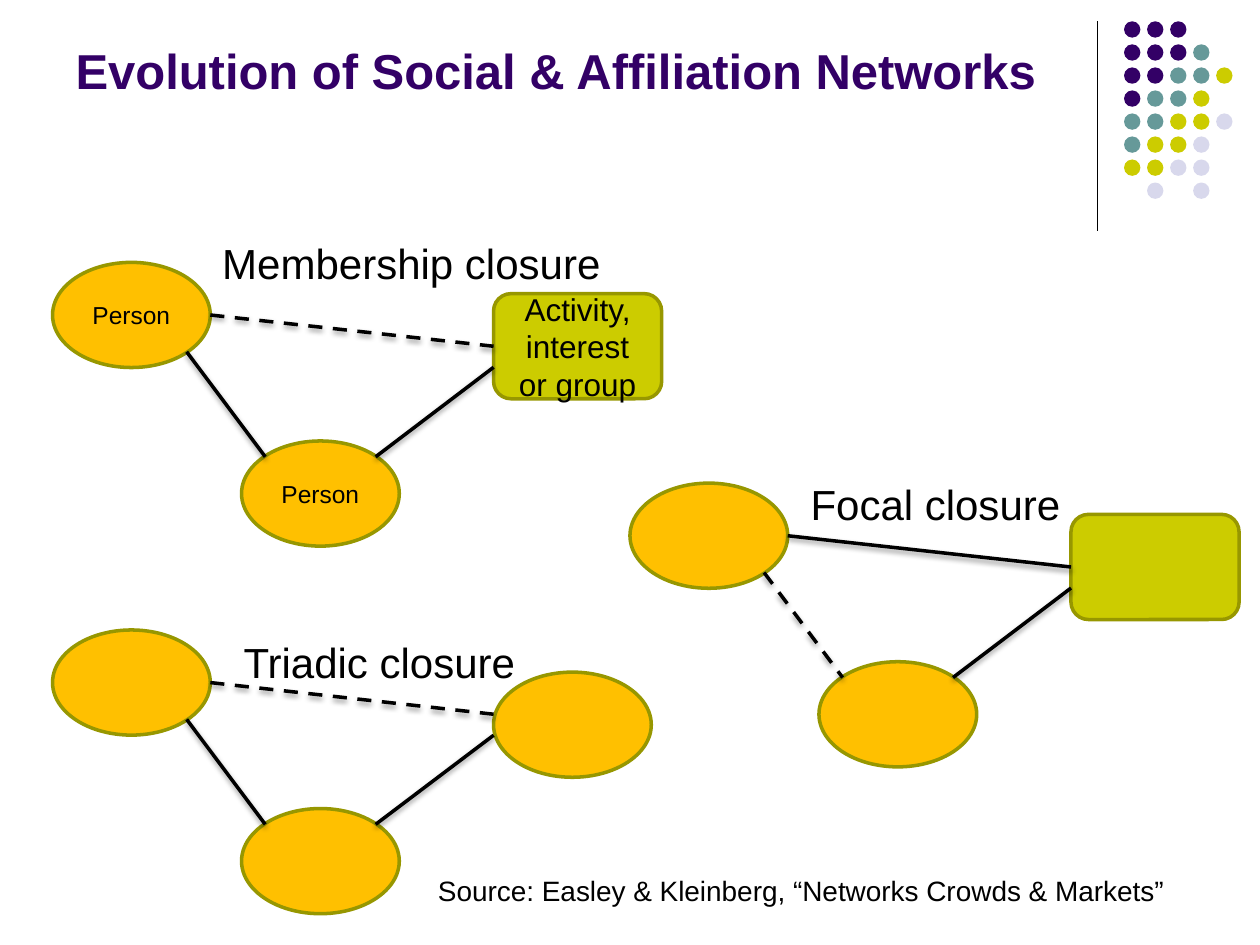
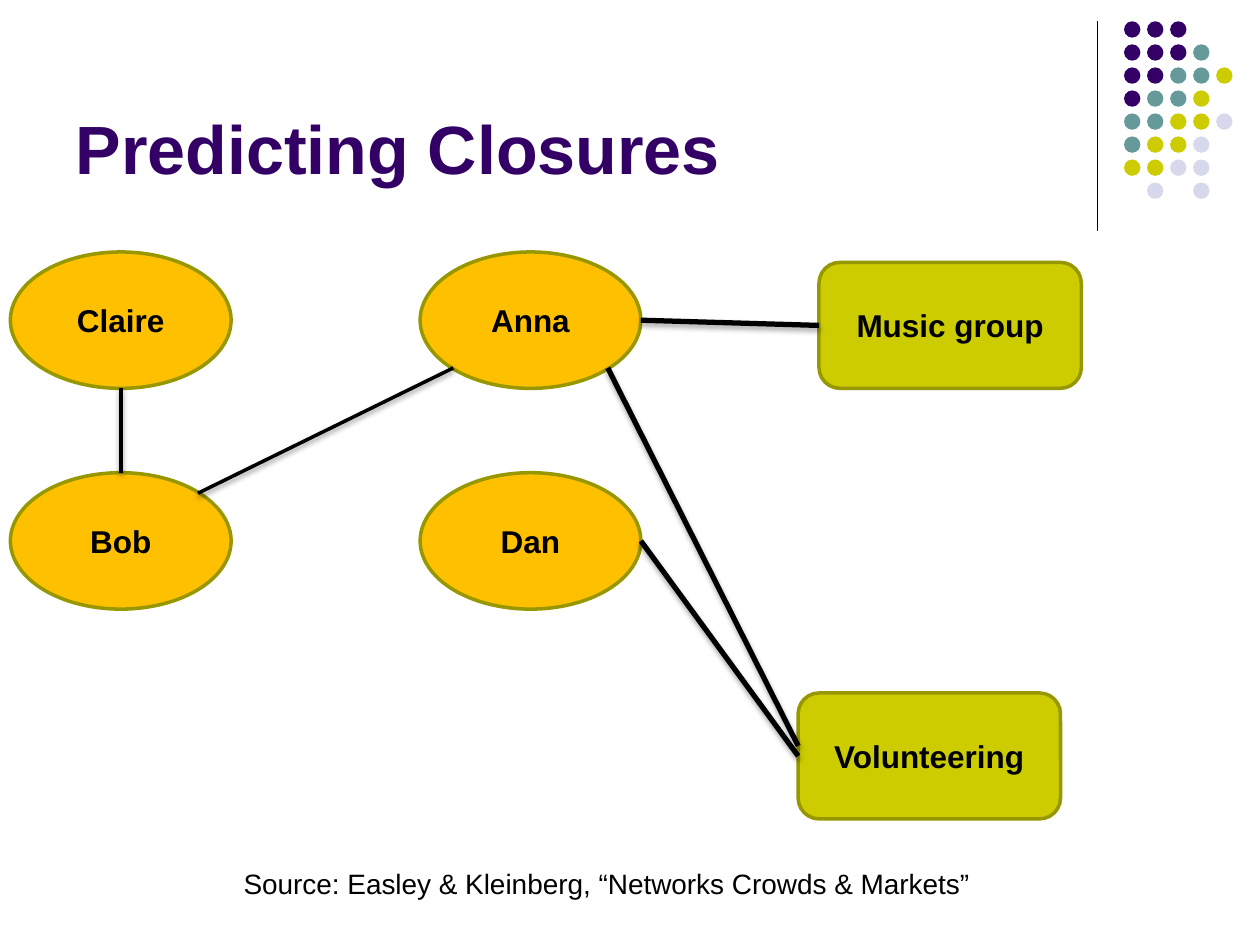
from lxml import etree
from pptx import Presentation
from pptx.dml.color import RGBColor
from pptx.enum.dml import MSO_LINE
from pptx.enum.shapes import MSO_CONNECTOR, MSO_SHAPE
from pptx.enum.text import MSO_ANCHOR, MSO_AUTO_SIZE, PP_ALIGN
from pptx.oxml.ns import qn
from pptx.util import Cm, Pt

# Content
SOURCE = "Source: Easley & Kleinberg, “Networks Crowds & Markets”"

# Ports are fractions of a node's width and height
E, W, N, S = (1, 0.5), (0, 0.5), (0.5, 0), (0.5, 1)
NE, NW, SE, SW = (0.85, 0.15), (0.15, 0.15), (0.85, 0.85), (0.15, 0.85)

# Each closure: origin, texts of its three nodes, third node, the new (dashed)
# edge, the ports where edges reach the third node, label and label box
CLOSURES = [
    dict(origin=(1.06, 5.29), texts=("Person", "Person", "Activity, interest or group"),
         third="group", new_edge="top", ports=(W, (0, 0.7)),
         label="Membership closure", label_box=(4.23, 4.66, 8.23, 1.27)),
    dict(origin=(12.7, 9.74), texts=("", "", ""),
         third="group", new_edge="left", ports=(W, (0, 0.7)),
         label="Focal closure", label_box=(16.09, 9.53, 5.61, 1.27)),
    dict(origin=(1.06, 12.7), texts=("", "", ""),
         third="person", new_edge="top", ports=((0, 0.4), (0, 0.6)),
         label="Triadic closure", label_box=(4.66, 12.7, 6.05, 1.27)),
]
FRIENDS = {
    "Claire": ("person", 0.21, 5.08),
    "Anna": ("person", 8.47, 5.08),
    "Bob": ("person", 0.21, 9.53),
    "Dan": ("person", 8.47, 9.53),
    "Music group": ("group", 16.51, 5.29),
    "Volunteering": ("group", 16.09, 13.97),
}
FRIEND_EDGES = [  # from, port, to, port, width in points
    ("Anna", E, "Music group", W, 3),
    ("Anna", SE, "Volunteering", (0, 0.42), 3),
    ("Dan", E, "Volunteering", W, 3),
    ("Claire", S, "Bob", N, 2),
    ("Bob", NE, "Anna", SW, 2),
]

# Shared style
FONT = "Arial"
BLACK, PURPLE, OLIVE = "000000", "330066", "979700"
NODE_STYLE = {
    "person": (MSO_SHAPE.OVAL, "FFC000"),
    "group": (MSO_SHAPE.ROUNDED_RECTANGLE, "CCCC00"),
}
CLOSURE_SIZES = {"person": (3.18, 2.12), "group": (3.39, 2.12)}
FRIEND_SIZES = {"person": (4.45, 2.75), "group": (5.29, 2.54)}
THIRD_DROP = {"person": 0.85, "group": 0.63}

DOT_ROWS = ["PPP", "PPPT", "PPTTY", "PTTY", "TTYYL", "TYYL", "YYLL", " L L"]
DOT_COLORS = {"P": PURPLE, "T": "669999", "Y": "CCCC00", "L": "D8D8EC"}
DOT_LEFT, DOT_TOP, DOT_SIZE = 22.66, 0.43, 0.33
DOT_PITCH = 3.25 / 7


def rgb(value):
    return RGBColor.from_string(value)


def set_format(obj, **values):
    for name, value in values.items():
        setattr(obj, name, value)


def write(tf, text, size, color=BLACK, bold=False, align=PP_ALIGN.LEFT):
    p = tf.paragraphs[0]
    p.alignment = align
    r = p.add_run()
    r.text = text
    set_format(r.font, name=FONT, size=Pt(size), bold=bold)
    r.font.color.rgb = rgb(color)


def add_filled(slide, shape_type, box, fill):
    sp = slide.shapes.add_shape(shape_type, *map(Cm, box))
    sp.shadow.inherit = False
    sp.fill.solid()
    sp.fill.fore_color.rgb = rgb(fill)
    sp.line.fill.background()
    return sp


def add_node(slide, kind, box, text, size, bold=False):
    shape_type, fill = NODE_STYLE[kind]
    sp = add_filled(slide, shape_type, box, fill)
    sp.line.color.rgb = rgb(OLIVE)
    sp.line.width = Pt(2)
    if text:
        set_format(sp.text_frame, word_wrap=True, vertical_anchor=MSO_ANCHOR.MIDDLE)
        write(sp.text_frame, text, size, bold=bold, align=PP_ALIGN.CENTER)
    return sp


def add_line(slide, start, end, width):
    """Draw a black line and return it with its empty effect list."""
    line = slide.shapes.add_connector(MSO_CONNECTOR.STRAIGHT, *start, *end)
    line.line.color.rgb = rgb(BLACK)
    line.line.width = Pt(width)
    effects = etree.SubElement(line._element.spPr, qn("a:effectLst"))
    return line, effects


def port_point(sp, port):
    return (int(sp.left + port[0] * sp.width), int(sp.top + port[1] * sp.height))


def add_edge(slide, a, a_port, b, b_port, width=2, dashed=False):
    line, effects = add_line(slide, port_point(a, a_port), port_point(b, b_port), width)
    if dashed:
        line.line.dash_style = MSO_LINE.DASH
    if b.auto_shape_type == MSO_SHAPE.ROUNDED_RECTANGLE and b_port == W:
        line.end_connect(b, 1)
    wide = width > 2
    shadow = etree.SubElement(effects, qn("a:outerShdw"), blurRad="40000",
                              dist="23000" if wide else "20000",
                              dir="5400000", rotWithShape="0")
    color = etree.SubElement(shadow, qn("a:srgbClr"), val=BLACK)
    etree.SubElement(color, qn("a:alpha"), val="35000" if wide else "38000")


def add_label(slide, text, box, size):
    sp = slide.shapes.add_textbox(*map(Cm, box))
    set_format(sp.text_frame, word_wrap=False, auto_size=MSO_AUTO_SIZE.SHAPE_TO_FIT_TEXT)
    write(sp.text_frame, text, size)


def add_slide(prs, title, top, size):
    """Add a title-only slide with the corner rule and dots."""
    slide = prs.slides.add_slide(prs.slide_layouts[5])
    add_line(slide, (Cm(22.12), Cm(0.43)), (Cm(22.12), Cm(4.65)), 0.75)
    for row, codes in enumerate(DOT_ROWS):
        for col, code in enumerate(codes):
            if code != " ":
                box = (DOT_LEFT + col * DOT_PITCH, DOT_TOP + row * DOT_PITCH,
                       DOT_SIZE, DOT_SIZE)
                add_filled(slide, MSO_SHAPE.OVAL, box, DOT_COLORS[code])
    sp = slide.shapes.title
    set_format(sp, left=Cm(1.27), top=Cm(top), width=Cm(20.96), height=Cm(3.6))
    set_format(sp.text_frame, word_wrap=True, auto_size=MSO_AUTO_SIZE.NONE,
               vertical_anchor=MSO_ANCHOR.BOTTOM)
    write(sp.text_frame, title, size, PURPLE, bold=True)
    return slide


def add_closure(slide, origin, texts, third, new_edge, ports, label, label_box):
    x, y = origin
    places = [("person", x, y, 14), ("person", x + 3.81, y + 3.6, 14),
              (third, x + 8.89, y + THIRD_DROP[third], 18)]
    first, second, target = [
        add_node(slide, kind, (left, top, *CLOSURE_SIZES[kind]), text, size)
        for (kind, left, top, size), text in zip(places, texts)]
    add_edge(slide, first, SE, second, NW, dashed=new_edge == "left")
    add_edge(slide, first, E, target, ports[0], dashed=new_edge == "top")
    add_edge(slide, second, NE, target, ports[1])
    add_label(slide, label, label_box, 24)


def build_evolution(prs):
    slide = add_slide(prs, "Evolution of Social & Affiliation Networks", -1.47, 28)
    for closure in CLOSURES:
        add_closure(slide, **closure)
    add_label(slide, SOURCE, (8.58, 17.48, 15.34, 0.94), 16)


def build_prediction(prs):
    slide = add_slide(prs, "Predicting Closures", 0.33, 39)
    nodes = {name: add_node(slide, kind, (left, top, *FRIEND_SIZES[kind]), name, 18, True)
             for name, (kind, left, top) in FRIENDS.items()}
    for a, a_port, b, b_port, width in FRIEND_EDGES:
        add_edge(slide, nodes[a], a_port, nodes[b], b_port, width)
    add_label(slide, SOURCE, (4.66, 17.35, 15.34, 0.94), 16)


def main():
    prs = Presentation()
    set_format(prs, slide_width=Cm(25.4), slide_height=Cm(19.05))
    build_evolution(prs)
    build_prediction(prs)
    prs.save("out.pptx")


if __name__ == "__main__":
    main()
